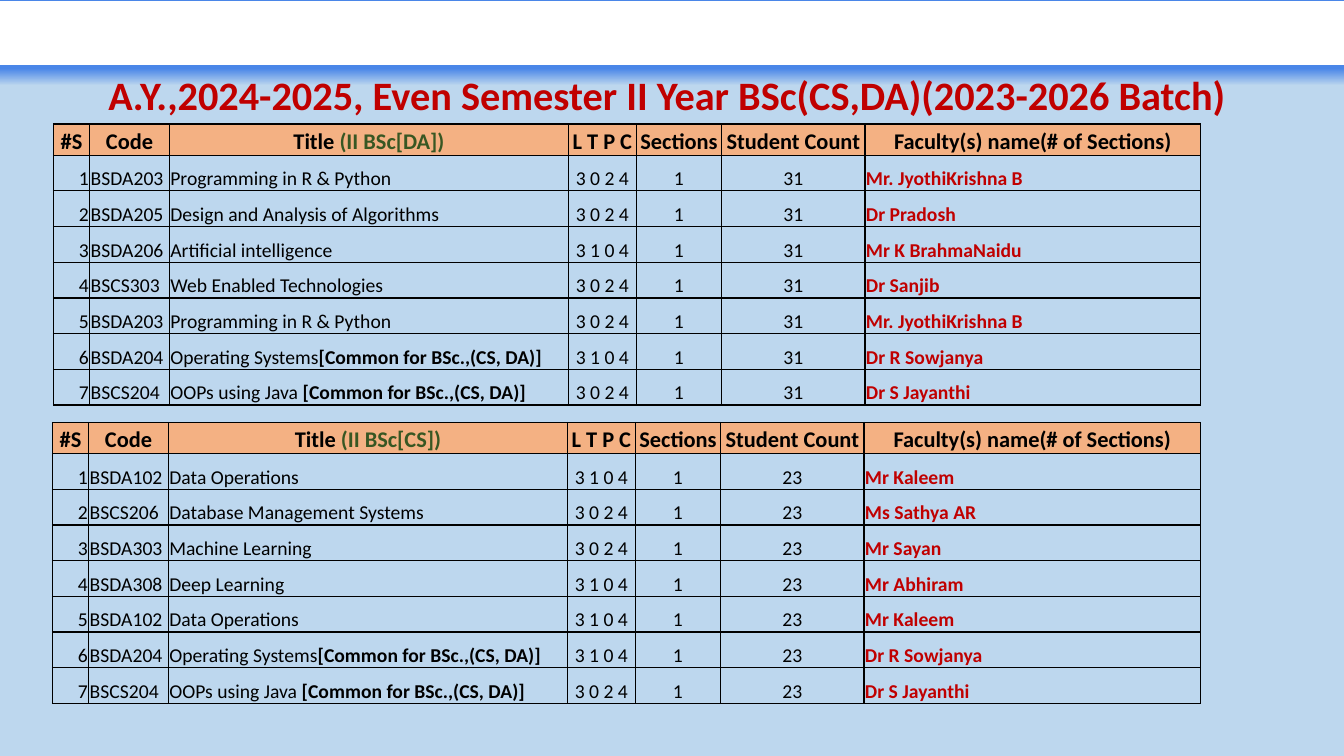
from dataclasses import dataclass

from lxml import etree
from pptx import Presentation
from pptx.dml.color import RGBColor
from pptx.enum.shapes import MSO_SHAPE
from pptx.enum.text import MSO_ANCHOR, PP_ALIGN
from pptx.oxml.ns import qn
from pptx.util import Inches, Pt

RECT = MSO_SHAPE.RECTANGLE
MIDDLE, BOTTOM = MSO_ANCHOR.MIDDLE, MSO_ANCHOR.BOTTOM
LEFT, CENTER, RIGHT = PP_ALIGN.LEFT, PP_ALIGN.CENTER, PP_ALIGN.RIGHT


@dataclass(frozen=True)
class Theme:
    font: str = "Calibri"
    background: str = "BDD7EE"
    band: str = "4A86E8"
    white: str = "FFFFFF"
    black: str = "000000"
    red: str = "C00000"
    green: str = "385723"
    header: str = "F4B183"
    title_size: float = 28.8
    header_size: float = 16
    body_size: float = 14


@dataclass(frozen=True)
class Course:
    code: str
    title: str
    ltpc: str
    faculty: str
    note: str = ""


@dataclass(frozen=True)
class Programme:
    name: str
    left: float
    top: float
    width: float
    students: int
    courses: list[Course]


THEME = Theme()
COLUMNS = [0.36, 0.79, 3.96, 0.67, 0.85, 1.42]
TABLE_HEIGHT, HEADER_HEIGHT = 2.79, 0.31
HEADERS = ["#S", "Code", "Title ", "L T P C", "Sections", "Student Count",
           "Faculty(s) name(# of Sections)"]
ALIGNMENTS = [RIGHT, LEFT, LEFT, CENTER, CENTER, CENTER, LEFT]
COMMON = "[Common for BSc.,(CS, DA)]"
SHARED = [
    Course("BSDA204", "Operating Systems", "3 1 0 4", "Dr R Sowjanya", COMMON),
    Course("BSCS204", "OOPs using Java ", "3 0 2 4", "Dr S Jayanthi", COMMON),
]
R_PYTHON = Course("BSDA203", "Programming in R & Python", "3 0 2 4", "Mr. JyothiKrishna B")
DATA_OPS = Course("BSDA102", "Data Operations", "3 1 0 4", "Mr Kaleem")
PROGRAMMES = [
    Programme("(II BSc[DA])", 0.53, 1.23, 11.38, 31, [
        R_PYTHON,
        Course("BSDA205", "Design and Analysis of Algorithms", "3 0 2 4", "Dr Pradosh"),
        Course("BSDA206", "Artificial intelligence", "3 1 0 4", "Mr K BrahmaNaidu"),
        Course("BSCS303", "Web Enabled Technologies", "3 0 2 4", "Dr Sanjib"),
        R_PYTHON,
        *SHARED,
    ]),
    Programme("(II BSc[CS])", 0.52, 4.19, 11.39, 23, [
        DATA_OPS,
        Course("BSCS206", "Database Management Systems", "3 0 2 4", "Ms Sathya AR"),
        Course("BSDA303", "Machine Learning", "3 0 2 4", "Mr Sayan"),
        Course("BSDA308", "Deep Learning", "3 1 0 4", "Mr Abhiram"),
        DATA_OPS,
        *SHARED,
    ]),
]


def rgb(color: str) -> RGBColor:
    return RGBColor.from_string(color)


def add_text(p, text: str, *, size: float = THEME.body_size,
             color: str = THEME.black, bold: bool = False) -> None:
    r = p.add_run()
    r.text = text
    r.font.name = THEME.font
    r.font.size = Pt(size)
    r.font.bold = bold
    r.font.color.rgb = rgb(color)


def add_rect(s, top: float, height: float):
    sp = s.shapes.add_shape(RECT, 0, Inches(top), Inches(13.33), Inches(height))
    sp.shadow.inherit = False
    return sp


def add_banner(s) -> None:
    band = add_rect(s, 0, 0.85)
    band.fill.gradient()
    band.fill.gradient_angle = 270
    stops = zip(band.fill.gradient_stops, (THEME.band, THEME.background), (0.8, 1.0))
    for stop, color, position in stops:
        stop.color.rgb = rgb(color)
        stop.position = position
    band.line.fill.background()

    strip = add_rect(s, 0.02, 0.62)
    strip.fill.solid()
    strip.fill.fore_color.rgb = rgb(THEME.white)
    strip.line.color.rgb = rgb(THEME.white)
    strip.line.width = Pt(1)


def add_title(s, text: str) -> None:
    box = s.shapes.add_textbox(Inches(0.1), Inches(0.7), Inches(13.13), Inches(0.54))
    tf = box.text_frame
    tf.word_wrap = True
    tf.vertical_anchor = MIDDLE
    p = tf.paragraphs[0]
    p.alignment = CENTER
    p.line_spacing = 0.9
    add_text(p, text, size=THEME.title_size, color=THEME.red, bold=True)


def set_borders(cell) -> None:
    props = cell._tc.get_or_add_tcPr()
    for i, side in enumerate(("a:lnL", "a:lnR", "a:lnT", "a:lnB")):
        ln = etree.Element(qn(side), w=str(Pt(1)))
        fill = etree.SubElement(ln, qn("a:solidFill"))
        etree.SubElement(fill, qn("a:srgbClr"), val=THEME.black)
        props.insert(i, ln)


def format_cell(cell, alignment, fill: str = ""):
    cell.margin_left = cell.margin_right = cell.margin_top = Inches(0.01)
    cell.margin_bottom = 0
    cell.vertical_anchor = BOTTOM
    if fill:
        cell.fill.solid()
        cell.fill.fore_color.rgb = rgb(fill)
    else:
        cell.fill.background()
    set_borders(cell)
    p = cell.text_frame.paragraphs[0]
    p.alignment = alignment
    return p


def add_programme(s, programme: Programme) -> None:
    count = len(programme.courses)
    widths = [*COLUMNS, programme.width - sum(COLUMNS)]
    heights = [HEADER_HEIGHT] + [(TABLE_HEIGHT - HEADER_HEIGHT) / count] * count
    table = s.shapes.add_table(
        len(heights), len(widths), Inches(programme.left), Inches(programme.top),
        Inches(programme.width), Inches(TABLE_HEIGHT)).table
    table.first_row = table.horz_banding = False
    for column, width in zip(table.columns, widths):
        column.width = Inches(width)
    for row, height in zip(table.rows, heights):
        row.height = Inches(height)

    for i, header in enumerate(HEADERS):
        p = format_cell(table.cell(0, i), CENTER, THEME.header)
        add_text(p, header, size=THEME.header_size, bold=True)
        if header == "Title ":
            add_text(p, programme.name, size=THEME.header_size,
                     color=THEME.green, bold=True)

    for number, course in enumerate(programme.courses, 1):
        values = [str(number), course.code, course.title, course.ltpc, "1",
                  str(programme.students), course.faculty]
        for i, (value, alignment) in enumerate(zip(values, ALIGNMENTS)):
            p = format_cell(table.cell(number, i), alignment)
            is_faculty = i == len(values) - 1
            add_text(p, value, bold=is_faculty,
                     color=THEME.red if is_faculty else THEME.black)
            if value == course.title and course.note:
                add_text(p, course.note, bold=True)


def main() -> None:
    prs = Presentation()
    prs.slide_width, prs.slide_height = Inches(13.33), Inches(7.5)
    s = prs.slides.add_slide(prs.slide_layouts[6])
    s.background.fill.solid()
    s.background.fill.fore_color.rgb = rgb(THEME.background)
    add_banner(s)
    add_title(s, "A.Y.,2024-2025, Even Semester II Year BSc(CS,DA)(2023-2026 Batch) ")
    for programme in PROGRAMMES:
        add_programme(s, programme)
    prs.save("out.pptx")


if __name__ == "__main__":
    main()
